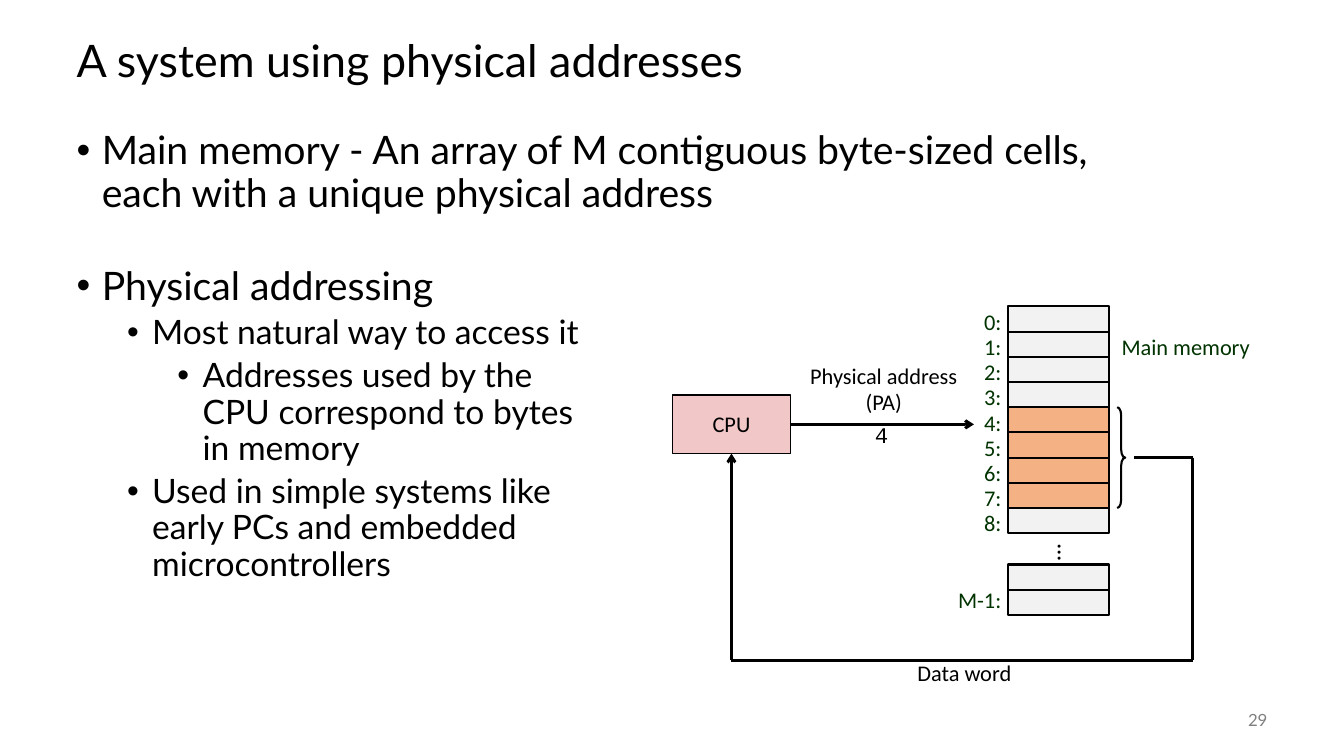
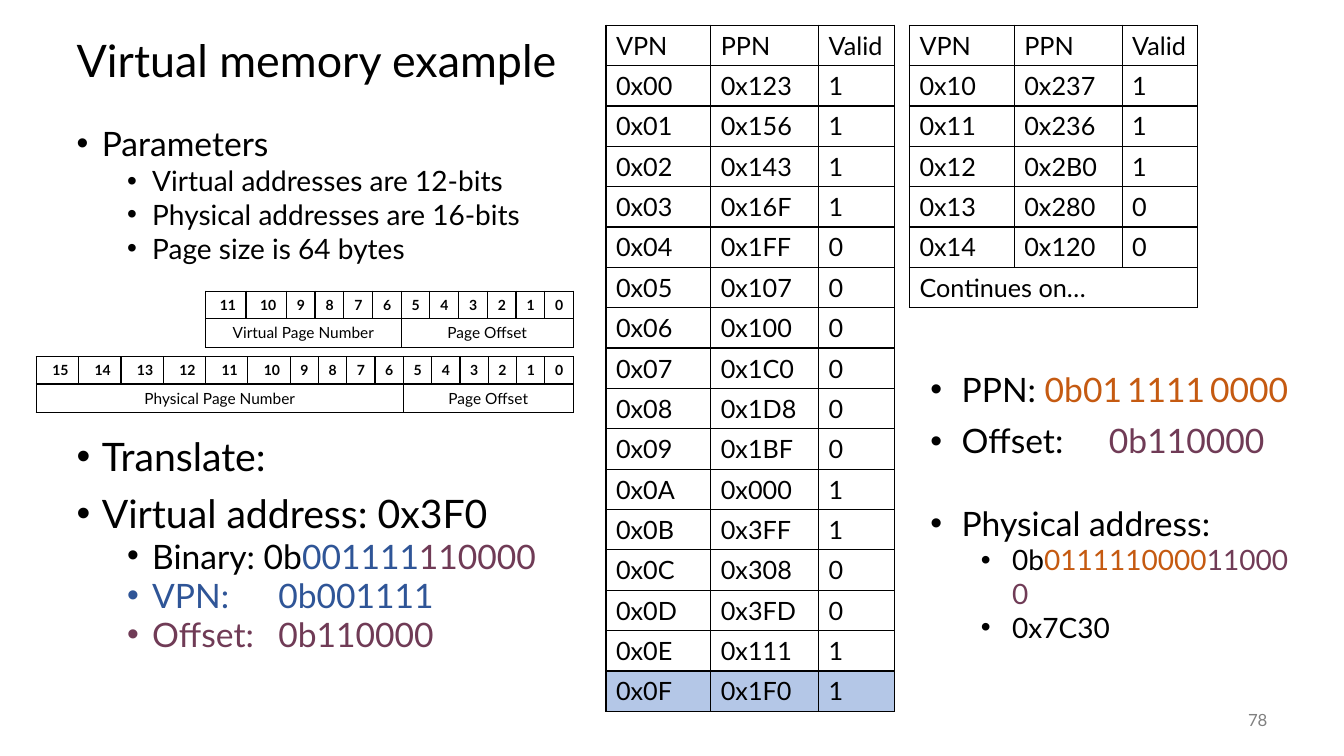
from dataclasses import dataclass
from itertools import pairwise

from lxml import etree
from pptx import Presentation
from pptx.dml.color import RGBColor
from pptx.enum.shapes import MSO_CONNECTOR as Connector, MSO_SHAPE as Shape
from pptx.enum.text import MSO_ANCHOR as Anchor, MSO_AUTO_SIZE as AutoSize, PP_ALIGN as Align
from pptx.oxml.ns import qn
from pptx.util import Inches, Pt

BLACK = RGBColor(0x00, 0x00, 0x00)
GRAY = RGBColor(0x80, 0x80, 0x80)
DARK_GREEN = RGBColor(0x00, 0x33, 0x00)
CPU_PINK = RGBColor(0xF1, 0xC7, 0xC7)
CELL_GRAY = RGBColor(0xF2, 0xF2, 0xF2)
WORD_ORANGE = RGBColor(0xF4, 0xB1, 0x83)
VPN_BLUE = RGBColor(0x2F, 0x55, 0x97)
OFFSET_PLUM = RGBColor(0x70, 0x3B, 0x56)
PPN_ORANGE = RGBColor(0xC5, 0x5A, 0x11)
MATCH_BLUE = RGBColor(0xB4, 0xC7, 0xE7)

SLIDE_FONT = "Lato"
DIAGRAM_FONT = "Calibri"


@dataclass
class Bullet:
    """One list entry; text is a string or a list of (text, colour, size) parts."""
    level: int
    size: int
    text: object
    before: int = 5
    color: RGBColor = BLACK


def style_paragraph(paragraph, size, color=BLACK, font=SLIDE_FONT, align=Align.LEFT,
                    spacing=1.0, bold=False):
    paragraph.alignment = align
    paragraph.line_spacing = spacing
    paragraph.font.size = Pt(size)
    paragraph.font.name = font
    paragraph.font.bold = bold
    paragraph.font.color.rgb = color


def place(shape, left, top, width, height):
    shape.left, shape.top = Inches(left), Inches(top)
    shape.width, shape.height = Inches(width), Inches(height)


def fill_list(frame, bullets, spacing, hang, tab):
    """Fill a frame with bullets; hang is the bullet indent, tab the tab interval."""
    for number, bullet in enumerate(bullets):
        paragraph = frame.paragraphs[0] if number == 0 else frame.add_paragraph()
        if isinstance(bullet.text, str):
            paragraph.text = bullet.text
        else:
            for text, color, size in bullet.text:
                run = paragraph.add_run()
                run.text = text
                run.font.color.rgb = color
                run.font.size = Pt(size)
        paragraph.level = bullet.level
        properties = paragraph._p.get_or_add_pPr()
        properties.set("marL", str(Inches(hang + 0.5 * bullet.level)))
        properties.set("indent", str(-Inches(hang)))
        properties.set("defTabSz", str(Inches(tab)))
        etree.SubElement(properties, qn("a:buFont")).set("typeface", "Arial")
        etree.SubElement(properties, qn("a:buChar")).set("char", "•")
        paragraph.space_before = Pt(bullet.before if number else 0)
        style_paragraph(paragraph, bullet.size, bullet.color, spacing=spacing)


def add_label(slide, box, lines, size=16, color=BLACK, font=DIAGRAM_FONT,
              align=Align.CENTER, anchor=Anchor.MIDDLE, spacing=0.98):
    label = slide.shapes.add_textbox(*map(Inches, box))
    frame = label.text_frame
    frame.word_wrap = False
    frame.vertical_anchor = anchor
    for number, line in enumerate(lines):
        paragraph = frame.paragraphs[0] if number == 0 else frame.add_paragraph()
        paragraph.text = line
        style_paragraph(paragraph, size, color, font, align, spacing)
    return label


def add_content_slide(deck, title, bullets, body_box, spacing, number):
    """Add a slide with its title, main list and page number."""
    slide = deck.slides.add_slide(deck.slide_layouts[1])
    heading, body = slide.shapes.title, slide.placeholders[1]
    place(heading, 0.66, 0.25, 12, 0.75)
    heading.text_frame.text = title
    heading.text_frame.vertical_anchor = Anchor.MIDDLE
    style_paragraph(heading.text_frame.paragraphs[0], 32, spacing=0.9)
    place(body, *body_box)
    fill_list(body.text_frame, bullets, spacing, hang=0.25, tab=1)
    for placeholder in (heading, body):
        placeholder.text_frame.auto_size = AutoSize.NONE
    add_label(slide, (11.67, 6.95, 1, 0.4), [number], 12, GRAY, SLIDE_FONT, Align.RIGHT)
    return slide


def add_outlined(slide, kind, box, fill=None, line_width=1.5):
    shape = slide.shapes.add_shape(kind, *map(Inches, box))
    shape.shadow.inherit = False
    if fill is None:
        shape.fill.background()
    else:
        shape.fill.solid()
        shape.fill.fore_color.rgb = fill
    shape.line.color.rgb = BLACK
    shape.line.width = Pt(line_width)
    return shape


def add_wire(slide, start, end, arrow=False):
    wire = slide.shapes.add_connector(Connector.STRAIGHT, *start, *end)
    wire.line.color.rgb = BLACK
    wire.line.width = Pt(2)
    properties = wire.element.spPr
    if arrow:
        etree.SubElement(properties.find(qn("a:ln")), qn("a:tailEnd")).set("type", "arrow")
    etree.SubElement(properties, qn("a:effectLst"))
    return wire


def add_memory_column(slide, left, top):
    cell_width, cell_height = 1, 0.25
    gap_top = top + 9 * cell_height
    last_top = top + 2.81
    for address in range(9):
        cell_top = top + address * cell_height
        fill = WORD_ORANGE if 4 <= address <= 7 else CELL_GRAY
        add_outlined(slide, Shape.RECTANGLE, (left, cell_top, cell_width, cell_height), fill)
    for cell_top in (last_top - cell_height, last_top):
        add_outlined(slide, Shape.RECTANGLE, (left, cell_top, cell_width, cell_height), CELL_GRAY)

    labels = [(f"{address}:", top + address * cell_height) for address in range(9)]
    for text, label_top in labels + [("M-1:", last_top - 0.05)]:
        add_label(slide, (left - 0.67, label_top, 0.7, 0.33), [text], color=DARK_GREEN,
                  align=Align.RIGHT, anchor=Anchor.TOP, spacing=0.88)
    add_label(slide, (left + cell_width, top + cell_height, 1.52, 0.33), ["Main memory"],
              color=DARK_GREEN, anchor=Anchor.TOP, spacing=0.88)
    dots = add_label(slide, (left + 0.08, gap_top, cell_width, cell_height), ["..."], 18)
    dots.text_frame._txBody.bodyPr.set("vert", "eaVert")

    brace_box = (left + cell_width + 0.08, top + 4 * cell_height, 0.08, 4 * cell_height)
    brace = add_outlined(slide, Shape.RIGHT_BRACE, brace_box)
    brace.adjustments[0] = 1
    return brace


def add_addressing_diagram(slide, left, top):
    brace = add_memory_column(slide, left + 3.33, top)

    cpu = add_outlined(slide, Shape.RECTANGLE, (left, top + 0.88, 1.17, 0.58), CPU_PINK, 1)
    cpu.text_frame.text = "CPU"
    cpu.text_frame.word_wrap = False
    cpu.text_frame.vertical_anchor = Anchor.MIDDLE
    style_paragraph(cpu.text_frame.paragraphs[0], 16, font=DIAGRAM_FONT,
                    align=Align.CENTER, spacing=0.98)

    cpu_middle = cpu.top + cpu.height // 2
    address_wire = add_wire(slide, (cpu.left + cpu.width, cpu_middle),
                            (Inches(left + 2.99), cpu_middle), arrow=True)
    address_wire.begin_connect(cpu, 3)
    add_label(slide, (left + 1.24, top + 0.51, 1.71, 0.63), ["Physical address", "(PA)"])
    add_label(slide, (left + 1.91, top + 1.09, 0.34, 0.37), ["4"], font="Courier New",
              align=Align.LEFT, anchor=Anchor.TOP, spacing=1.0)

    word_middle = brace.top + brace.height // 2
    turn_x, turn_y = Inches(left + 5.16), Inches(top + 3.51)
    cpu_center = cpu.left + cpu.width // 2
    route = [(Inches(left + 4.58), word_middle), (turn_x, word_middle), (turn_x, turn_y),
             (cpu_center, turn_y), (cpu_center, cpu.top + cpu.height)]
    for start, end in pairwise(route):
        data_wire = add_wire(slide, start, end, arrow=end == route[-1])
    data_wire.end_connect(cpu, 2)
    add_label(slide, (left + 2.31, top + 3.46, 1.17, 0.37), ["Data word"])


def add_grid(slide, left, top, column_widths, row_heights):
    """Add an unfilled table with thin black borders."""
    frame = slide.shapes.add_table(len(row_heights), len(column_widths), Inches(left), Inches(top),
                                   Inches(sum(column_widths)), Inches(sum(row_heights)))
    grid = frame.table
    grid.first_row = grid.horz_banding = False
    for column, width in zip(grid.columns, column_widths):
        column.width = Inches(width)
    for row, height in zip(grid.rows, row_heights):
        row.height = Inches(height)
    for cell in grid.iter_cells():
        cell.fill.background()
        properties = cell._tc.get_or_add_tcPr()
        for position, side in enumerate(("a:lnL", "a:lnR", "a:lnT", "a:lnB")):
            border = etree.Element(qn(side), w=str(Pt(1)))
            solid = etree.SubElement(border, qn("a:solidFill"))
            etree.SubElement(solid, qn("a:srgbClr")).set("val", str(BLACK))
            properties.insert(position, border)
    return grid


def write_cell(cell, text, size, **style):
    cell.text = text
    style_paragraph(cell.text_frame.paragraphs[0], size, **style)


def add_page_table(slide, left, top, entries, matched=None, continues=False):
    rows = [("VPN", "PPN", "Valid"), *entries]
    if continues:
        rows.append(("Continues on…",))
    grid = add_grid(slide, left, top, [1.04, 1.07, 0.75], [0.4] * len(rows))
    if continues:
        grid.cell(len(rows) - 1, 0).merge(grid.cell(len(rows) - 1, 2))
    for row, values in enumerate(rows):
        for column, value in enumerate(values):
            cell = grid.cell(row, column)
            write_cell(cell, value, 18)
            if values[0] == matched:
                cell.fill.solid()
                cell.fill.fore_color.rgb = MATCH_BLUE


def add_address_bits(slide, left, top, width, bits, two_digit_width, page_label):
    """Show an address as numbered bits above its page number and 6-bit offset."""
    two_digit = bits - 10
    digit_width = (width - two_digit * two_digit_width) / 10
    grid = add_grid(slide, left, top, [two_digit_width] * two_digit + [digit_width] * 10,
                    [0.27, 0.28])
    for column in range(bits):
        write_cell(grid.cell(0, column), str(bits - 1 - column), 10, align=Align.RIGHT, bold=True)
    for label, first, last in ((page_label, 0, bits - 7), ("Page Offset", bits - 6, bits - 1)):
        grid.cell(1, first).merge(grid.cell(1, last))
        write_cell(grid.cell(1, first), label, 11, align=Align.CENTER)


def add_result_list(slide, left, top, width, height):
    frame = slide.shapes.add_textbox(*map(Inches, (left, top, width, height))).text_frame
    frame.word_wrap = True
    fill_list(frame, [
        Bullet(0, 24, [("PPN: ", BLACK, 24), ("0b01", PPN_ORANGE, 24), (" ", PPN_ORANGE, 14),
                       ("1111", PPN_ORANGE, 24), (" ", PPN_ORANGE, 14), ("0000", PPN_ORANGE, 24)]),
        Bullet(0, 24, [("Offset:\t", BLACK, 24), ("0b110000", OFFSET_PLUM, 24)], before=8),
        Bullet(0, 24, "Physical address:", before=30),
        Bullet(1, 20, [("0b", BLACK, 20), ("0111110000", PPN_ORANGE, 20),
                       ("110000", OFFSET_PLUM, 20)], before=0),
        Bullet(1, 20, "0x7C30", before=0),
    ], spacing=1.0, hang=0.31, tab=1.77)


def add_physical_slide(deck):
    slide = add_content_slide(deck, "A system using physical addresses", [
        Bullet(0, 28, "Main memory - An array of M contiguous byte-sized cells, "
                      "each with a unique physical address"),
        Bullet(0, 28, "Physical addressing", before=36),
        Bullet(1, 24, "Most natural way to access it"),
        Bullet(2, 24, "Addresses used by the\nCPU correspond to bytes\nin memory"),
        Bullet(1, 24, "Used in simple systems like\nearly PCs and embedded\nmicrocontrollers"),
    ], (0.66, 1.25, 11, 5.7), 0.9, "29")
    add_addressing_diagram(slide, 6.67, 3.04)


def add_virtual_slide(deck):
    slide = add_content_slide(deck, "Virtual memory example", [
        Bullet(0, 24, "Parameters"),
        Bullet(1, 20, "Virtual addresses are 12-bits"),
        Bullet(1, 20, "Physical addresses are 16-bits"),
        Bullet(1, 20, "Page size is 64 bytes"),
        Bullet(0, 28, "Translate:", before=126),
        Bullet(0, 28, "Virtual address: 0x3F0", before=14),
        Bullet(1, 24, [("Binary: 0b", BLACK, 24), ("001111", VPN_BLUE, 24),
                       ("110000", OFFSET_PLUM, 24)]),
        Bullet(1, 24, "VPN:\t0b001111", color=VPN_BLUE),
        Bullet(1, 24, "Offset:\t0b110000", color=OFFSET_PLUM),
    ], (0.66, 1.25, 12, 5.5), 0.8, "78")

    frames = ("123 156 143 16F 1FF 107 100 1C0 1D8 1BF 000 3FF 308 3FD 111 1F0 "
              "237 236 2B0 280 120").split()
    valid_bits = "111100000011001111100"
    entries = [(f"0x{page:02X}", f"0x{frame}", valid)
               for page, (frame, valid) in enumerate(zip(frames, valid_bits))]
    add_page_table(slide, 6.01, 0.25, entries[:16], matched="0x0F")
    add_page_table(slide, 9.02, 0.25, entries[16:], continues=True)
    add_result_list(slide, 9.13, 3.61, 3.81, 2.52)
    add_address_bits(slide, 2.04, 2.89, 3.65, 12, 0.4, "Virtual Page Number")
    add_address_bits(slide, 0.36, 3.54, 5.33, 16, 0.42, "Physical Page Number")


def main():
    deck = Presentation()
    deck.slide_width, deck.slide_height = Inches(13.33), Inches(7.5)
    add_physical_slide(deck)
    add_virtual_slide(deck)
    deck.save("out.pptx")


if __name__ == "__main__":
    main()
